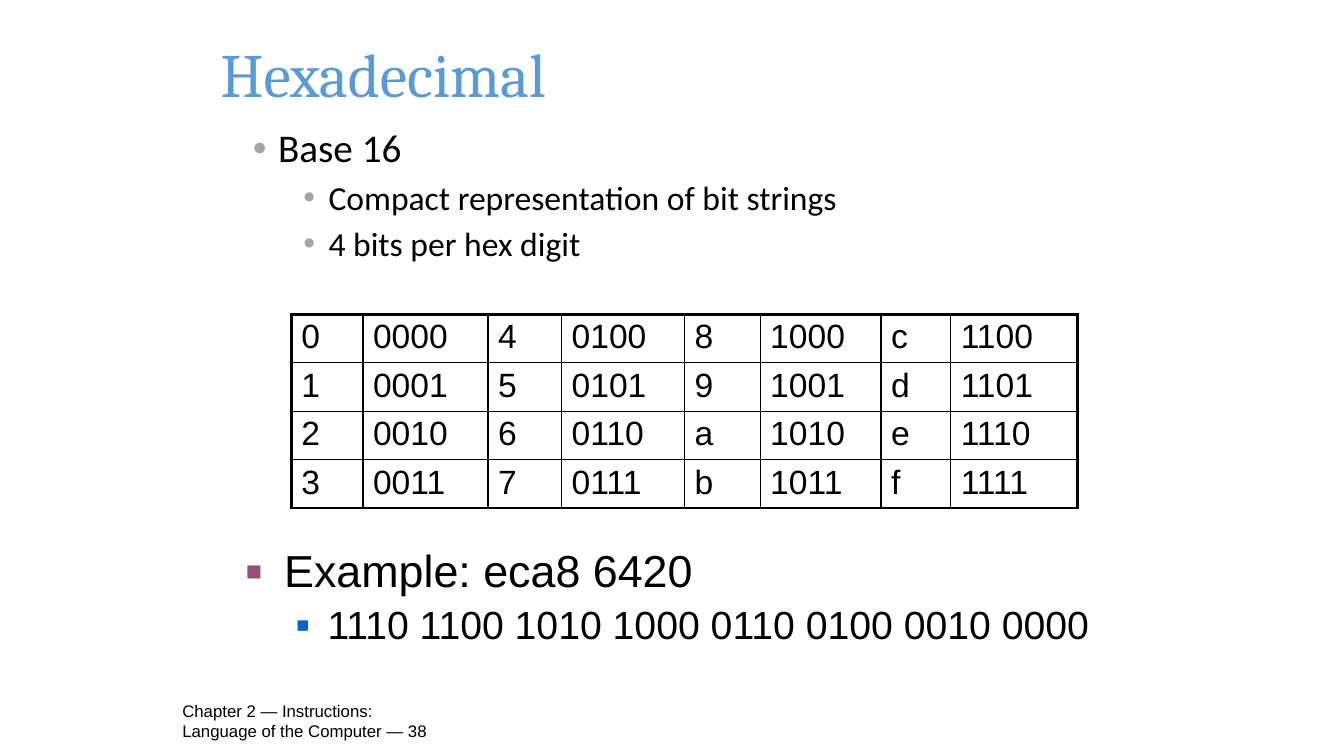
from lxml.etree import SubElement
from pptx import Presentation
from pptx.dml.color import RGBColor as RGB
from pptx.enum.text import MSO_ANCHOR as Anchor
from pptx.oxml.ns import qn
from pptx.util import Inches, Pt

COLORS = {"text": "000000", "title": "5B9BD5", "dot": "A5A5A5",
          "square": "954F72", "subsquare": "0563C1"}

prs = Presentation()
prs.slide_width, prs.slide_height = Inches(13.33), Inches(7.5)
slide = prs.slides.add_slide(prs.slide_layouts[6])


def add_text(box, lines, font, color="text", anchor=Anchor.TOP):
    """Write lines of (text, size, bullet format) into a new text box."""
    frame = slide.shapes.add_textbox(*map(Inches, box)).text_frame
    frame.word_wrap, frame.vertical_anchor = True, anchor
    for i, (text, size, bullet) in enumerate(lines):
        para = frame.paragraphs[0] if i == 0 else frame.add_paragraph()
        if bullet:
            add_bullet(para, **bullet)
        run = para.add_run()
        run.text = text
        for name, value in {"name": font, "size": Pt(size)}.items():
            setattr(run.font, name, value)
        run.font.color.rgb = RGB.from_string(COLORS[color])


def add_bullet(para, char, color, percent, left, hang, level=0, before=0):
    props = para._p.get_or_add_pPr()
    props.set("marL", str(Inches(left)))
    props.set("indent", str(-Inches(hang)))
    bullet_color = SubElement(props, qn("a:buClr"))
    SubElement(bullet_color, qn("a:srgbClr"), val=COLORS[color])
    SubElement(props, qn("a:buSzPct"), val=str(percent * 1000))
    SubElement(props, qn("a:buFont"), typeface="Arial")
    SubElement(props, qn("a:buChar"), char=char)
    spacing = {"level": level, "line_spacing": 0.9, "space_before": Pt(before)}
    for name, value in spacing.items():
        setattr(para, name, value)


add_text((1.71, 6.95, 2.79, 0.4),
         [("Chapter 2 — Instructions: Language of the Computer — 38", 12, None)],
         "Arial", anchor=Anchor.MIDDLE)
add_text((2.09, 0, 9.88, 1.45), [("Hexadecimal", 44, None)],
         "Cambria", "title", Anchor.MIDDLE)

dot = {"char": "•", "color": "dot", "percent": 100, "left": 0.25, "hang": 0.25}
subdot = dot | {"left": 0.75, "level": 1, "before": 7}
add_text((2.41, 1.23, 9.05, 1.73),
         [("Base 16", 28, dot),
          ("Compact representation of bit strings", 24, subdot),
          ("4 bits per hex digit", 24, subdot)], "Calibri")

# Each pair of columns holds four hex digits and their bit patterns.
ROWS, ROW_HEIGHT = 4, 0.47
WIDTHS = [0.71, 1.24, 0.73, 1.22, 0.75, 1.2, 0.69, 1.26]
THIN, PAIR, OUTER = 1, 1.5, 2.25
last_row, last_col = ROWS - 1, len(WIDTHS) - 1
digits = slide.shapes.add_table(
    ROWS, len(WIDTHS), Inches(2.89), Inches(3.12),
    Inches(sum(WIDTHS)), Inches(ROWS * ROW_HEIGHT)).table
for flag in ("first_row", "horz_banding"):
    setattr(digits, flag, False)
for column, width in zip(digits.columns, WIDTHS):
    column.width = Inches(width)

for r, row in enumerate(digits.rows):
    row.height = Inches(ROW_HEIGHT)
    for c, cell in enumerate(row.cells):
        digit = r + ROWS * (c // 2)
        cell.text = f"{digit:04b}" if c % 2 else f"{digit:x}"
        font = cell.text_frame.paragraphs[0].runs[0].font
        for name, value in {"name": "Arial", "size": Pt(24)}.items():
            setattr(font, name, value)
        font.color.rgb = RGB.from_string(COLORS["text"])
        cell.margin_top = cell.margin_bottom = Inches(0.04)
        borders = {
            "L": OUTER if c == 0 else THIN if c % 2 else PAIR,
            "R": OUTER if c == last_col else PAIR if c % 2 else THIN,
            "T": OUTER if r == 0 else THIN,
            "B": OUTER if r == last_row else THIN,
        }
        for side, weight in borders.items():
            line = SubElement(cell._tc.get_or_add_tcPr(), qn(f"a:ln{side}"),
                              w=str(Pt(weight)))
            fill = SubElement(line, qn("a:solidFill"))
            SubElement(fill, qn("a:srgbClr"), val=COLORS["text"])
        cell.fill.background()

square = {"char": "■", "color": "square", "percent": 60,
          "left": 0.38, "hang": 0.38}
subsquare = {"char": "■", "color": "subsquare", "percent": 55,
             "left": 0.81, "hang": 0.31, "level": 1, "before": 6}
add_text((2.34, 5.4, 9.05, 1.26),
         [("Example: eca8 6420", 32, square),
          ("1110 1100 1010 1000 0110 0100 0010 0000", 28, subsquare)], "Arial")

prs.save("out.pptx")
